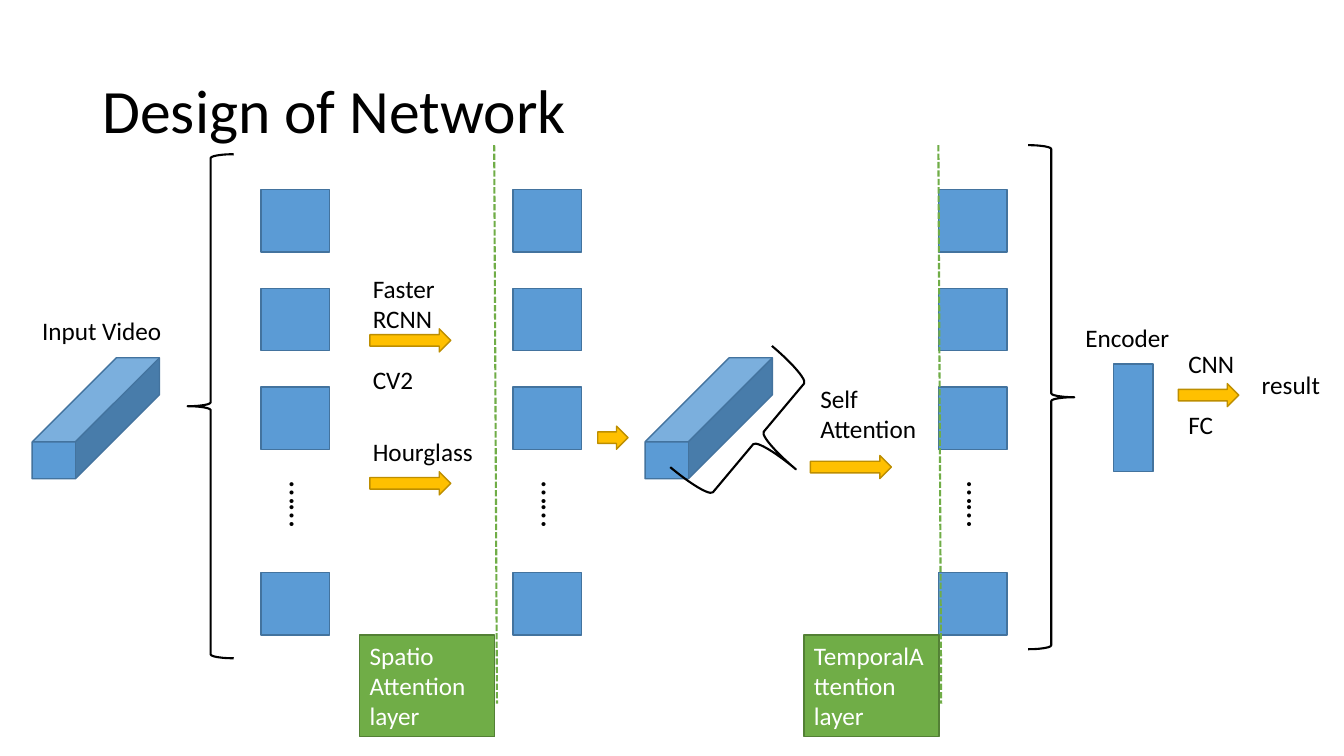
from dataclasses import dataclass

from lxml.etree import SubElement
from pptx import Presentation
from pptx.dml.color import RGBColor
from pptx.enum.dml import MSO_LINE
from pptx.enum.shapes import MSO_CONNECTOR, MSO_SHAPE
from pptx.enum.text import MSO_ANCHOR, PP_ALIGN
from pptx.oxml.ns import qn
from pptx.util import Pt


@dataclass(frozen=True)
class Theme:
    font: str = "Calibri"
    title_size: int = 44
    body_size: int = 18
    dots_size: int = 24
    line_width: float = 1
    heavy_width: float = 1.5
    black: str = "000000"
    white: str = "FFFFFF"
    blue: str = "5B9BD5"
    blue_edge: str = "43739E"
    gold: str = "FFC000"
    gold_edge: str = "BD8E00"
    green: str = "70AD47"
    green_edge: str = "538035"


THEME = Theme()
FRAME_HEIGHT = 44.6
FRAME_TOPS = [135.4 + 70.5 * row for row in range(3)] + [409]
BLANK_LINE = 22


def apply_format(target, values):
    for name, value in values.items():
        setattr(target, name, value)


def to_points(*lengths):
    return [Pt(length) for length in lengths]


def write_text(shape, lines, color=THEME.black, size=THEME.body_size, gap=0, **frame_format):
    frame = shape.text_frame
    apply_format(frame, {"word_wrap": True, "vertical_anchor": MSO_ANCHOR.TOP, **frame_format})
    frame.text = "\n".join(lines)
    for index, paragraph in enumerate(frame.paragraphs):
        apply_format(paragraph, {
            "alignment": PP_ALIGN.LEFT,
            "space_before": Pt(gap if index else 0),
        })
        font = paragraph.runs[0].font
        apply_format(font, {"name": THEME.font, "size": Pt(size)})
        font.color.rgb = RGBColor.from_string(color)


def add_title(slide, text):
    title = slide.shapes.title
    apply_format(title, dict(zip(("left", "top", "width", "height"),
                                 to_points(66, 28.8, 828, 104.4))))
    write_text(title, [text], size=THEME.title_size, vertical_anchor=MSO_ANCHOR.MIDDLE)
    title.text_frame.paragraphs[0].line_spacing = 0.9


def add_label(slide, box, *lines, **text_format):
    label = slide.shapes.add_textbox(*to_points(*box))
    write_text(label, lines, **text_format)
    return label


def add_block(slide, kind, box, fill, edge, width=THEME.line_width):
    block = slide.shapes.add_shape(kind, *to_points(*box))
    block.shadow.inherit = False
    if fill:
        block.fill.solid()
        block.fill.fore_color.rgb = RGBColor.from_string(fill)
    else:
        block.fill.background()
    block.line.color.rgb = RGBColor.from_string(edge)
    block.line.width = Pt(width)
    return block


def add_blue_box(slide, box):
    add_block(slide, MSO_SHAPE.RECTANGLE, box, THEME.blue, THEME.blue_edge)


def add_arrow(slide, left, top, width=57.8):
    add_block(slide, MSO_SHAPE.RIGHT_ARROW, (left, top, width, 16.5),
              THEME.gold, THEME.gold_edge)


def add_brace(slide, box, rotation=0):
    brace = add_block(slide, MSO_SHAPE.LEFT_BRACE, box, None,
                      THEME.black, THEME.heavy_width)
    brace.rotation = rotation


def add_video_cube(slide, left):
    cube = add_block(slide, MSO_SHAPE.CUBE, (left, 255.6, 90.9, 86.4),
                     THEME.blue, THEME.blue_edge)
    cube.adjustments[0] = 0.695


def add_frame_column(slide, left):
    for top in FRAME_TOPS:
        add_blue_box(slide, (left, top, 49, FRAME_HEIGHT))
    dots = add_label(slide, (left + 5, 337, 43.2, 56.2), "……", size=THEME.dots_size)
    dots.text_frame._txBody.bodyPr.set("vert", "eaVert")


def add_layer(slide, divider_left, *lines):
    box = (divider_left - 96, 453.6, 96.5, 72.7)
    layer = add_block(slide, MSO_SHAPE.RECTANGLE, box, THEME.green, THEME.green_edge)
    write_text(layer, lines, color=THEME.white)
    divider = slide.shapes.add_connector(
        MSO_CONNECTOR.STRAIGHT, *to_points(divider_left, 103.7, divider_left + 2, 502.6))
    apply_format(divider.line, {"width": Pt(THEME.heavy_width),
                                "dash_style": MSO_LINE.SQUARE_DOT})
    divider.line.color.rgb = RGBColor.from_string(THEME.green)
    SubElement(divider._element.spPr, qn("a:effectLst"))


def main():
    presentation = Presentation()
    apply_format(presentation, {"slide_width": Pt(960), "slide_height": Pt(540)})
    slide = presentation.slides.add_slide(presentation.slide_layouts[5])
    add_title(slide, "Design of Network")

    for left in (186.5, 366.5, 670.3):
        add_frame_column(slide, left)
    add_layer(slide, 353, "Spatio Attention", "layer")
    add_layer(slide, 670.3, "TemporalAttention", "layer")

    for left in (23, 460.8):
        add_video_cube(slide, left)
    add_blue_box(slide, (795.6, 259.9, 28, 77))

    add_brace(slide, (134, 110.2, 33, 360))
    add_brace(slide, (506.9, 256.3, 69.8, 113), 220)
    add_brace(slide, (734.4, 103.7, 33, 360), 180)

    for left, top in ((264.2, 234.9), (264.2, 337), (578.9, 325.4)):
        add_arrow(slide, left, top)
    add_arrow(slide, 427, 304.4, 21.6)
    add_arrow(slide, 841.7, 274, 43.2)

    add_label(slide, (23, 221.8, 110.9, 29), "Input Video")
    add_label(slide, (259.2, 191.5, 69.8, 94.3), "Faster RCNN", "CV2", gap=BLANK_LINE)
    add_label(slide, (259.2, 308.2, 102.2, 29), "Hourglass")
    add_label(slide, (578.9, 270, 91.4, 51), "Self Attention")
    add_label(slide, (768.2, 226.8, 82, 29), "Encoder")
    add_label(slide, (841.7, 245.5, 99.4, 72.7), "CNN", "FC", gap=BLANK_LINE)
    add_label(slide, (894.2, 259.9, 77, 29), "result")

    presentation.save("out.pptx")


main()
